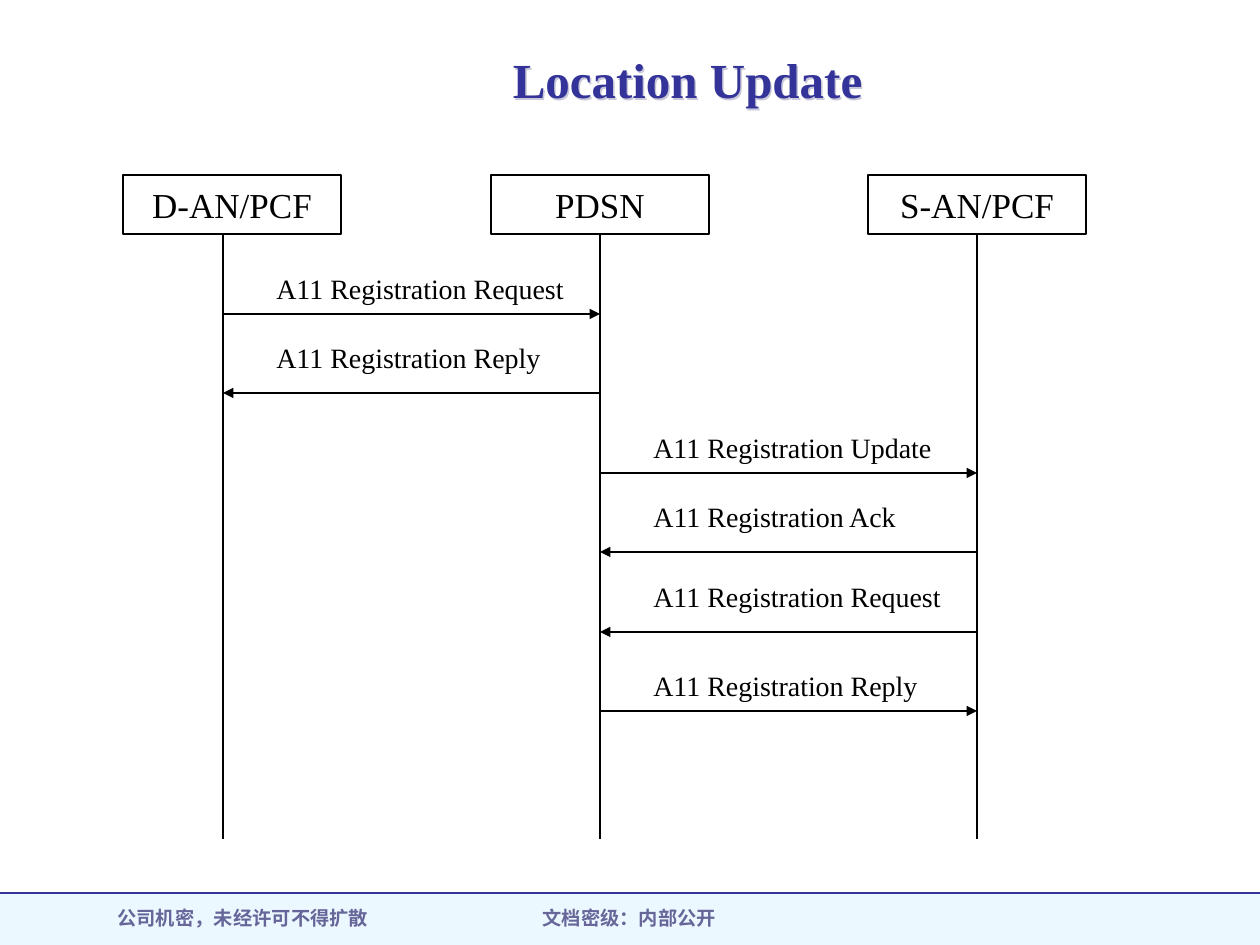
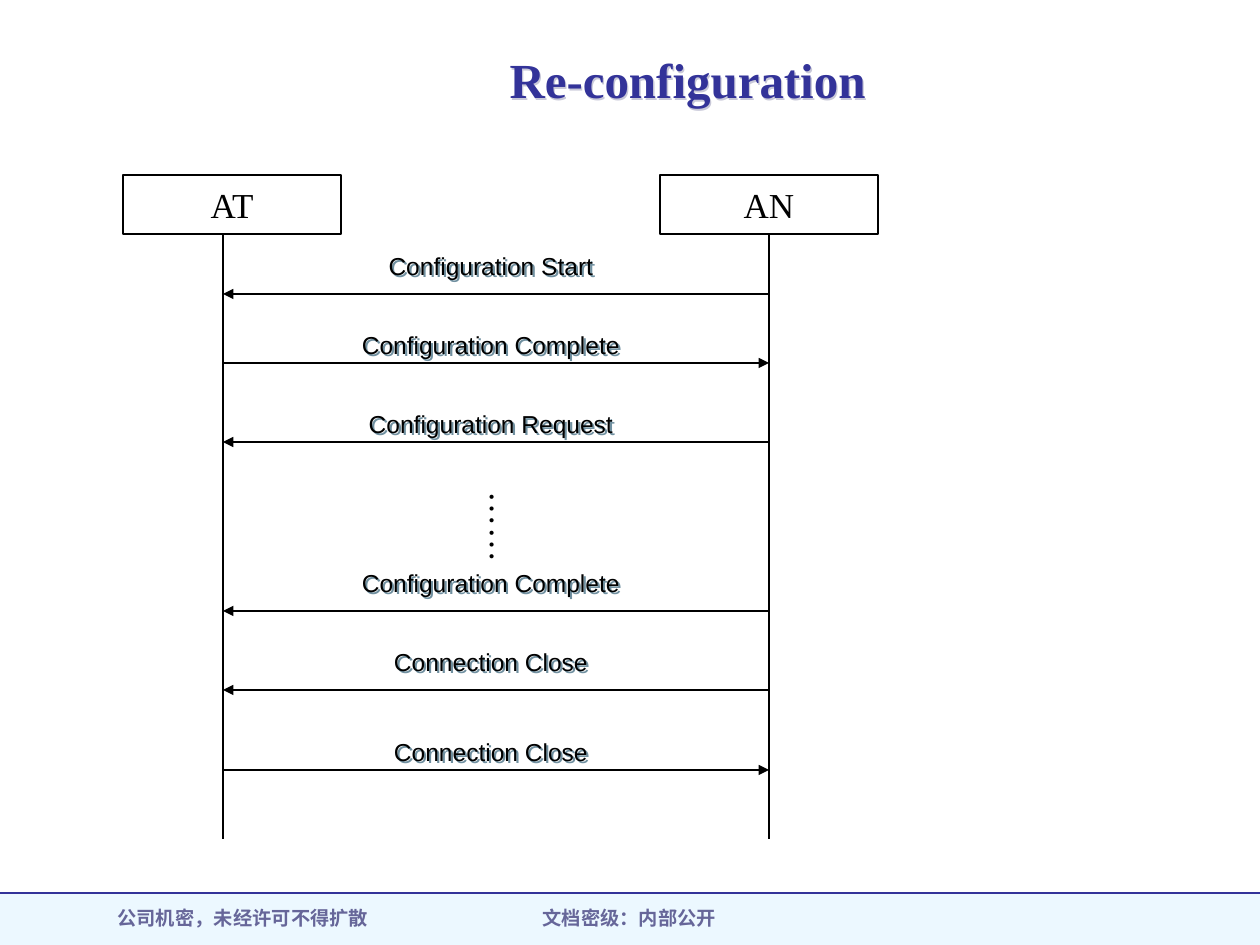
import pptx
import pptx.dml.color
import pptx.enum.shapes
import pptx.enum.text
import pptx.oxml
import pptx.oxml.ns
import pptx.util

RGB = pptx.dml.color.RGBColor
ALIGN = pptx.enum.text.PP_ALIGN
ANCHOR = pptx.enum.text.MSO_ANCHOR
SHAPE = pptx.enum.shapes.MSO_SHAPE
NS = pptx.oxml.ns.nsdecls("a")

WHITE = RGB(0xFF, 0xFF, 0xFF)
BLACK = RGB(0, 0, 0)
NAVY = RGB(0x33, 0x33, 0x99)
FOOTER_TEXT = RGB(0x66, 0x66, 0x99)
BAND = RGB(0xA7, 0xE2, 0xFF)
TITLE_SHADOW = RGB(0xC8, 0xC8, 0xD8)
LABEL_SHADOW = RGB(0x70, 0x90, 0xA0)
SERIF, SANS = "Times New Roman", "Arial"

SLIDE_W, SLIDE_H = 1260, 945
BAND_TOP = 893
NODE_TOP, NODE_W, NODE_H = 175, 218, 59
LIFELINE_TOP, LIFELINE_END = NODE_TOP + NODE_H, 839
NEAR, FAR = 49, 59  # distance from the top of a label down to its arrow

# label, label width, sender, receiver
LOCATION_MESSAGES = [
    ("A11 Registration Request", 314, "D-AN/PCF", "PDSN"),
    ("A11 Registration Reply", 290, "PDSN", "D-AN/PCF"),
    ("A11 Registration Update", 304, "PDSN", "S-AN/PCF"),
    ("A11 Registration Ack", 270, "S-AN/PCF", "PDSN"),
    ("A11 Registration Request", 314, "S-AN/PCF", "PDSN"),
    ("A11 Registration Reply", 290, "PDSN", "S-AN/PCF"),
]
# label, sender, receiver, arrow height, distance to label
CONFIG_MESSAGES = [
    ("Configuration Start", "AN", "AT", 294, FAR),
    ("Configuration Complete", "AT", "AN", 363, NEAR),
    ("Configuration Request", "AN", "AT", 442, NEAR),
    ("Configuration Complete", "AN", "AT", 611, FAR),
    ("Connection Close", "AN", "AT", 690, FAR),
    ("Connection Close", "AT", "AN", 770, NEAR),
]


def px(n):
    return pptx.util.Emu(round(n * 914400 / 126))


def write(sp, text, size, color=BLACK, font=SERIF, bold=False,
          align=ALIGN.LEFT, anchor=ANCHOR.TOP, wrap=True):
    tf = sp.text_frame
    tf.word_wrap = wrap
    tf.vertical_anchor = anchor
    p = tf.paragraphs[0]
    p.text = text
    p.alignment = align
    p.font.size = pptx.util.Pt(size)
    p.font.name = font
    p.font.bold = bold
    p.font.color.rgb = color
    return tf


def add_text(s, x, y, w, h, text, size, **style):
    sp = s.shapes.add_textbox(px(x), px(y), px(w), px(h))
    write(sp, text, size, **style)
    return sp


def add_shadow(sp, color, distance):
    """Cast a hard shadow down and to the right from the text of an unfilled box."""
    sp._element.spPr.append(pptx.oxml.parse_xml(
        f'<a:effectLst {NS}><a:outerShdw dist="{px(distance)}" dir="2700000" '
        f'algn="ctr" rotWithShape="0"><a:srgbClr val="{color}"/>'
        f'</a:outerShdw></a:effectLst>'))


def add_line(s, x1, y1, x2, y2, color=BLACK, arrow=False):
    line = s.shapes.add_connector(pptx.enum.shapes.MSO_CONNECTOR.STRAIGHT,
                                  px(x1), px(y1), px(x2), px(y2))
    line.line.color.rgb = color
    line.line.width = pptx.util.Pt(0.75)
    if arrow:
        line.line._get_or_add_ln().append(
            pptx.oxml.parse_xml(f'<a:tailEnd {NS} type="triangle"/>'))
    line._element.spPr.append(pptx.oxml.parse_xml(f"<a:effectLst {NS}/>"))


def add_footer(s):
    band = s.shapes.add_shape(SHAPE.RECTANGLE, px(0), px(BAND_TOP),
                              px(SLIDE_W), px(SLIDE_H - BAND_TOP))
    band.shadow.inherit = False
    band.fill.solid()
    band.fill.fore_color.rgb = BAND
    band.line.fill.background()
    color = band._element.spPr.find(".//" + pptx.oxml.ns.qn("a:srgbClr"))
    color.append(pptx.oxml.parse_xml(f'<a:alpha {NS} val="21000"/>'))
    for x, w, text in [(74, 338, "公司机密，未经许可不得扩散"),
                       (430, 399, "文档密级：内部公开")]:
        add_text(s, x, 900, w, 45, text, 11, color=FOOTER_TEXT, bold=True,
                 align=ALIGN.CENTER)
    add_line(s, 0, BAND_TOP, SLIDE_W, BAND_TOP, NAVY)


def add_slide(prs, title):
    s = prs.slides.add_slide(prs.slide_layouts[6])
    s.background.fill.solid()
    s.background.fill.fore_color.rgb = WHITE
    add_footer(s)
    sp = add_text(s, 199, 32, 977, 94, title, 28, color=NAVY, bold=True,
                  align=ALIGN.CENTER, anchor=ANCHOR.MIDDLE)
    add_shadow(sp, TITLE_SHADOW, 2)
    return s


def add_node(s, name, left, lifeline_x):
    """Draw a participant's box and the lifeline under it."""
    sp = s.shapes.add_shape(SHAPE.RECTANGLE, px(left), px(NODE_TOP),
                            px(NODE_W), px(NODE_H))
    sp.shadow.inherit = False
    sp.fill.background()
    sp.line.color.rgb = BLACK
    sp.line.width = pptx.util.Pt(0.75)
    write(sp, name, 20, align=ALIGN.CENTER, anchor=ANCHOR.MIDDLE, wrap=False)
    add_line(s, lifeline_x, LIFELINE_TOP, lifeline_x, LIFELINE_END)


def add_centered_label(s, center, top, width, text):
    sp = add_text(s, center - width / 2, top, width, 48, text, 14,
                  font=SANS, align=ALIGN.CENTER)
    tf = sp.text_frame
    tf.margin_left = tf.margin_right = 0
    tf.margin_top = px(4)
    tf.paragraphs[0].line_spacing = 1.4
    add_shadow(sp, LABEL_SHADOW, 3)


def add_vertical_dots(s):
    sp = add_text(s, 464, 479, 67, 83, "……", 20, wrap=False)
    tf = sp.text_frame
    tf.margin_left = tf.margin_right = px(6)
    tf.margin_top = tf.margin_bottom = px(13)
    tf._txBody.bodyPr.set("vert", "eaVert")


def build_location_update(prs):
    s = add_slide(prs, "Location Update")
    lifelines = {"D-AN/PCF": 223, "PDSN": 600, "S-AN/PCF": 977}
    for name, left in zip(lifelines, (123, 491, 868)):
        add_node(s, name, left, lifelines[name])
    for i, (text, width, sender, receiver) in enumerate(LOCATION_MESSAGES):
        x1, x2 = lifelines[sender], lifelines[receiver]
        y = 314 + round(i * 79.4)
        gap = NEAR if x1 < x2 else FAR
        add_line(s, x1, y, x2, y, arrow=True)
        add_text(s, min(x1, x2) + 41, y - gap, width, 47, text, 16, wrap=False)


def build_reconfiguration(prs):
    s = add_slide(prs, "Re-configuration")
    lifelines = {"AT": 223, "AN": 769}
    for name, left in zip(lifelines, (123, 660)):
        add_node(s, name, left, lifelines[name])
    for text, sender, receiver, y, gap in CONFIG_MESSAGES:
        add_line(s, lifelines[sender], y, lifelines[receiver], y, arrow=True)
        add_centered_label(s, 491, y - gap, 456 if gap == NEAR else 515, text)
    add_vertical_dots(s)


def main():
    prs = pptx.Presentation()
    prs.slide_width, prs.slide_height = px(SLIDE_W), px(SLIDE_H)
    build_location_update(prs)
    build_reconfiguration(prs)
    prs.save("out.pptx")


if __name__ == "__main__":
    main()
